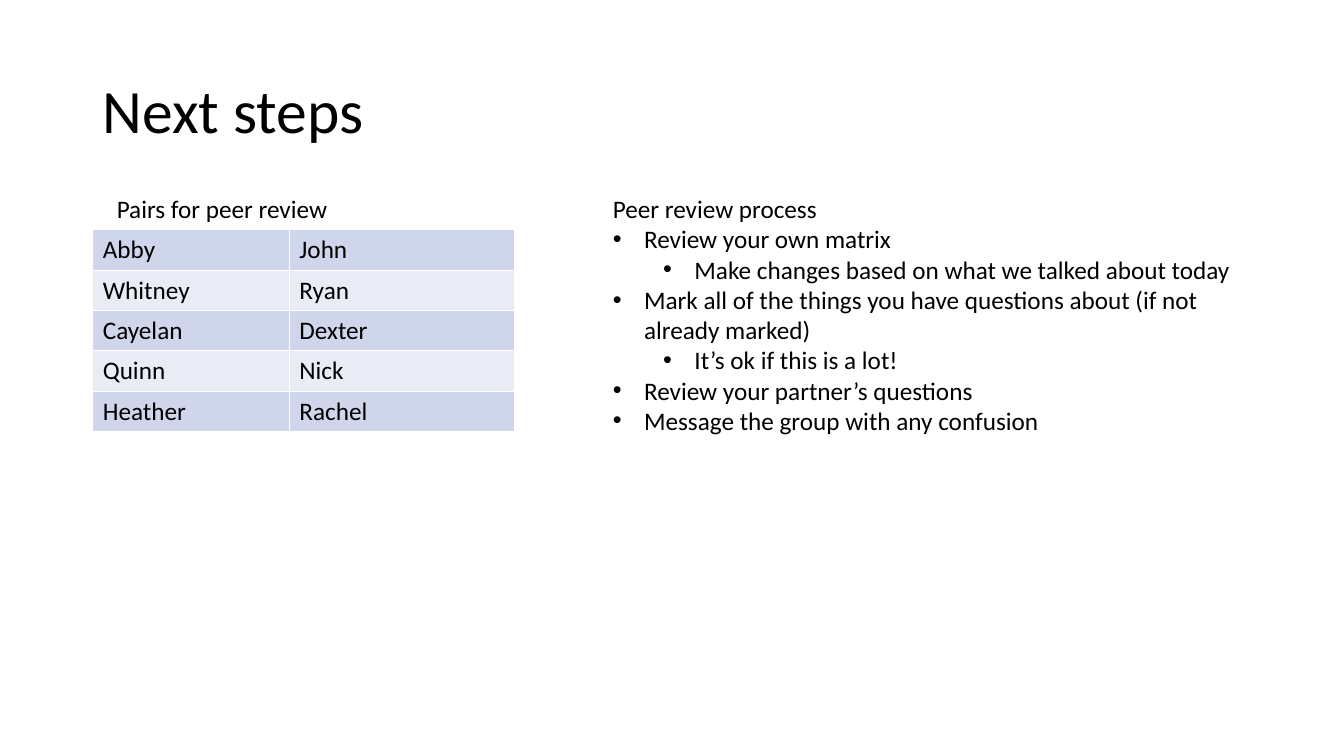
from lxml import etree
from pptx import Presentation
from pptx.dml.color import RGBColor
from pptx.enum.text import MSO_ANCHOR
from pptx.oxml.ns import qn
from pptx.util import Pt

PX = 9144  # EMU per px, 100 px to the inch
BLACK = RGBColor(0x00, 0x00, 0x00)
WHITE = RGBColor(0xFF, 0xFF, 0xFF)
BANDS = (RGBColor(0xCF, 0xD5, 0xEA), RGBColor(0xE9, 0xEB, 0xF5))
TOP, MIDDLE = MSO_ANCHOR.TOP, MSO_ANCHOR.MIDDLE

PAIRS = [
    ("Abby", "John"),
    ("Whitney", "Ryan"),
    ("Cayelan", "Dexter"),
    ("Quinn", "Nick"),
    ("Heather", "Rachel"),
]

# (level, text); level None has no bullet
PROCESS = [
    (None, "Peer review process"),
    (0, "Review your own matrix"),
    (1, "Make changes based on what we talked about today"),
    (0, "Mark all of the things you have questions about (if not already marked)"),
    (1, "It’s ok if this is a lot!"),
    (0, "Review your partner’s questions"),
    (0, "Message the group with any confusion"),
]


class SlideBuilder:
    font = "Calibri"
    body = 18
    hanging = 31
    level_step = 50

    def __init__(self, slide):
        self.s = slide

    def style(self, p, size):
        p.font.name = self.font
        p.font.size = Pt(size)
        p.font.color.rgb = BLACK

    def bullet(self, p, level):
        p.level = level
        pPr = p._p.get_or_add_pPr()
        pPr.set("marL", str((self.hanging + level * self.level_step) * PX))
        pPr.set("indent", str(-self.hanging * PX))
        font = etree.Element(qn("a:buFont"), typeface="Arial")
        char = etree.Element(qn("a:buChar"), char="•")
        pPr.insert(0, font)
        font.addnext(char)

    def text(self, x, y, w, h, lines, size=body, anchor=TOP, wrap=True, spacing=None):
        sp = self.s.shapes.add_textbox(x * PX, y * PX, w * PX, h * PX)
        tf = sp.text_frame
        tf.word_wrap = wrap
        tf.vertical_anchor = anchor
        for i, (level, line) in enumerate(lines):
            p = tf.add_paragraph() if i else tf.paragraphs[0]
            p.text = line
            self.style(p, size)
            if spacing:
                p.line_spacing = spacing
            if level is not None:
                self.bullet(p, level)

    def borders(self, cell):
        tcPr = cell._tc.get_or_add_tcPr()
        for i, side in enumerate(("a:lnL", "a:lnR", "a:lnT", "a:lnB")):
            ln = etree.Element(qn(side), w=str(Pt(1)))
            fill = etree.SubElement(ln, qn("a:solidFill"))
            etree.SubElement(fill, qn("a:srgbClr"), val=str(WHITE))
            tcPr.insert(i, ln)

    def table(self, x, y, widths, row_h, rows):
        frame = self.s.shapes.add_table(
            len(rows), len(widths), x * PX, y * PX, sum(widths) * PX, len(rows) * row_h * PX)
        tbl = frame.table
        tbl.first_row = False
        for column, w in zip(tbl.columns, widths):
            column.width = w * PX
        for r, row in enumerate(rows):
            tbl.rows[r].height = row_h * PX
            for c, value in enumerate(row):
                cell = tbl.cell(r, c)
                cell.text = value
                self.style(cell.text_frame.paragraphs[0], self.body)
                cell.fill.solid()
                cell.fill.fore_color.rgb = BANDS[r % 2]
                self.borders(cell)


def main():
    prs = Presentation()
    prs.slide_width = 1333 * PX
    prs.slide_height = 750 * PX
    b = SlideBuilder(prs.slides.add_slide(prs.slide_layouts[6]))

    # Title
    b.text(92, 40, 1150, 145, [(None, "Next steps")], size=44, anchor=MIDDLE, spacing=0.9)

    # Review pairs
    b.table(92, 228, (195, 223), 40, PAIRS)
    b.text(106, 187, 231, 40, [(None, "Pairs for peer review")], wrap=False)

    # Review process
    b.text(598, 187, 643, 252, PROCESS)

    prs.save("out.pptx")


if __name__ == "__main__":
    main()
